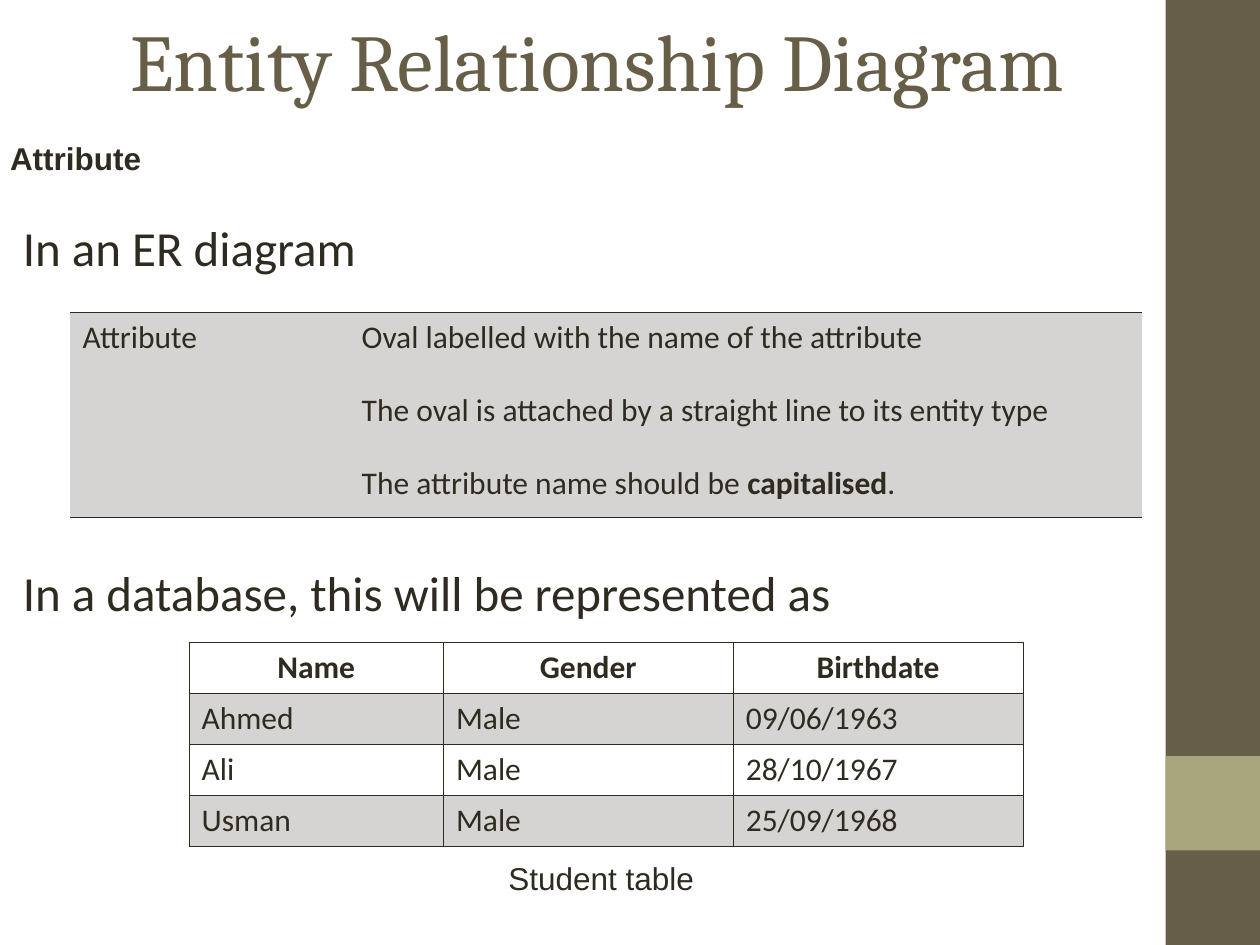
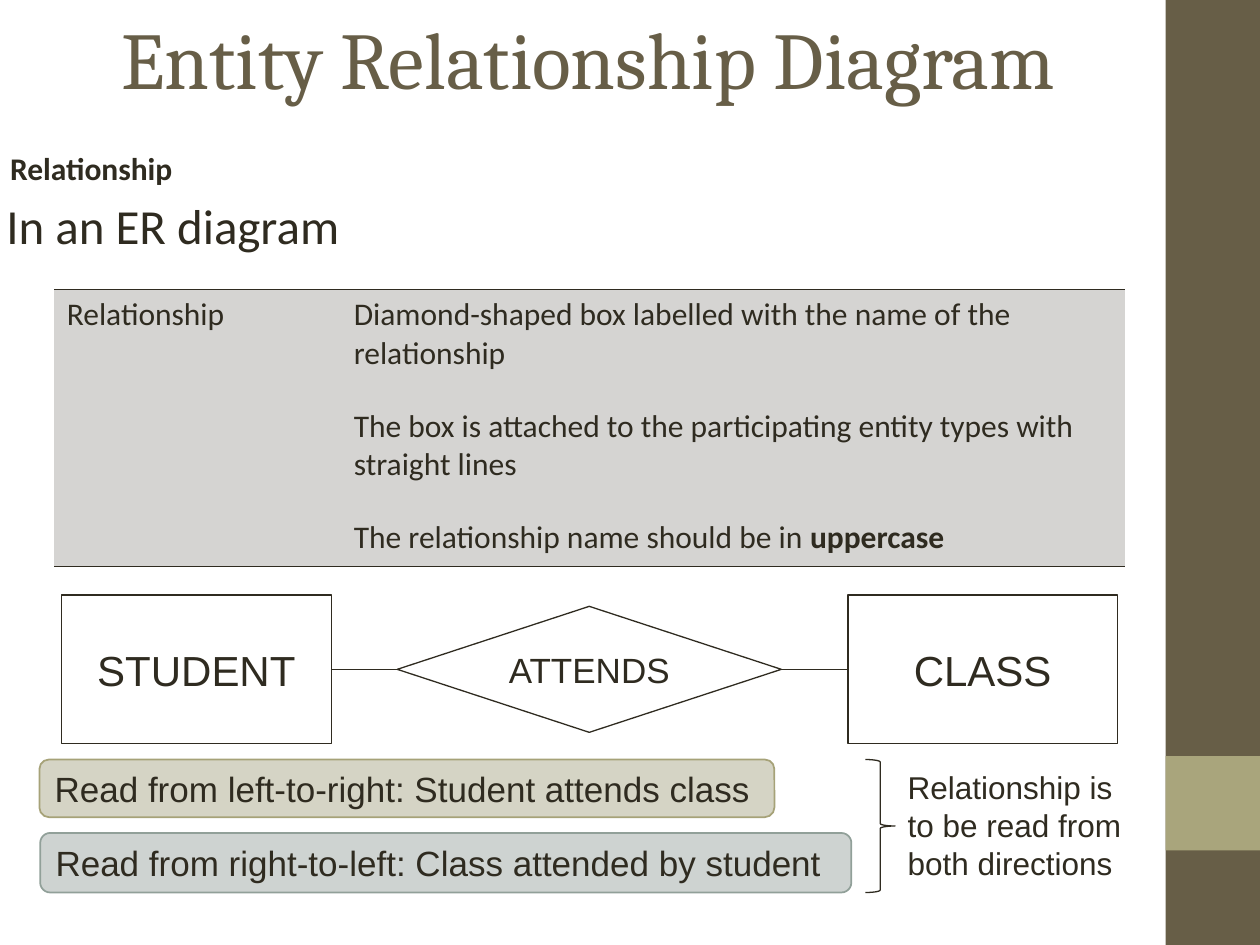
from lxml import etree
from pptx import Presentation
from pptx.dml.color import RGBColor
from pptx.enum import shapes, text
from pptx.oxml.ns import qn
from pptx.util import Pt

COLORS = {
    "white": "FFFFFF", "ink": "2F2B20", "title": "675E47", "accent": "A9A57C",
    "cell": "D5D4D2", "sand": "D5D4C5", "sand_line": "A6A278",
    "mist": "CED3D1", "mist_line": "91A099",
}
BODY, LABEL, TITLE = "Calibri", "Arial", "Cambria"
SHAPE = shapes.MSO_SHAPE
LEFT, CENTER = text.PP_ALIGN.LEFT, text.PP_ALIGN.CENTER
TOP, MIDDLE = text.MSO_ANCHOR.TOP, text.MSO_ANCHOR.MIDDLE


def rgb(name):
    return RGBColor.from_string(COLORS[name])


def box(left, top, width, height):
    return [Pt(v) for v in (left, top, width, height)]


def style(p, size, font, bold=False, align=LEFT, color="ink"):
    p.alignment = align
    p.font.size, p.font.name, p.font.bold = Pt(size), font, bold
    p.font.color.rgb = rgb(color)


def write(sp, words, size, font, anchor=TOP, **look):
    tf = sp.text_frame
    tf.word_wrap = True
    tf.vertical_anchor = anchor
    p = tf.paragraphs[0]
    p.text = words
    style(p, size, font, **look)
    return p


def add_text(s, at, words, size, font, **look):
    return write(s.shapes.add_textbox(*box(*at)), words, size, font, **look)


def add_heading(s, top, words, font):
    sp = s.shapes.add_textbox(*box(0, top, 114, 25))
    tf = sp.text_frame
    tf.margin_left = tf.margin_right = Pt(5.76)
    tf.margin_top = tf.margin_bottom = 0
    write(sp, words, 18, font, bold=True).line_spacing = Pt(18)


def add_shape(s, kind, at, fill=None, line=None, width=0.75):
    sp = s.shapes.add_shape(kind, *box(*at))
    sp.shadow.inherit = False
    if fill:
        sp.fill.solid()
        sp.fill.fore_color.rgb = rgb(fill)
    else:
        sp.fill.background()
    if line:
        sp.line.color.rgb = rgb(line)
        sp.line.width = Pt(width)
    else:
        sp.line.fill.background()
    return sp


def add_node(s, kind, at, name, size):
    sp = add_shape(s, kind, at, "white", "ink")
    write(sp, name, size, LABEL, anchor=MIDDLE, align=CENTER)
    return sp


def add_reading(s, at, words, color):
    sp = add_shape(s, SHAPE.ROUNDED_RECTANGLE, at, color, color + "_line", 1)
    write(sp, words, 20, LABEL, anchor=MIDDLE)


def join(s, start, end):
    """Connect the right side of start to the left side of end."""
    line = s.shapes.add_connector(shapes.MSO_CONNECTOR.STRAIGHT, 0, 0, 0, 0)
    line.begin_connect(start, 3)
    line.end_connect(end, 1)
    line.line.color.rgb = rgb("ink")
    line.line.width = Pt(0.75)
    etree.SubElement(line._element.spPr, qn("a:effectLst"))


def format_cell(cell, fill, sides, bottom=0.45):
    """Fill a cell and draw borders on the given sides (L, R, T, B)."""
    tcPr = cell._tc.get_or_add_tcPr()
    for side in "LRTB":
        width = bottom if side == "B" else 0.45
        ln = etree.SubElement(tcPr, qn(f"a:ln{side}"), w=str(Pt(width)))
        if side in sides:
            paint = etree.SubElement(ln, qn("a:solidFill"))
            etree.SubElement(paint, qn("a:srgbClr"), val=COLORS["ink"])
        else:
            etree.SubElement(ln, qn("a:noFill"))
    cell.fill.solid()
    cell.fill.fore_color.rgb = rgb(fill)


def add_table(s, left, top, widths, row_count, row_height):
    at = box(left, top, sum(widths), row_count * row_height)
    table = s.shapes.add_table(row_count, len(widths), *at).table
    table.first_row = table.horz_banding = False
    for column, width in zip(table.columns, widths):
        column.width = Pt(width)
    return table


def add_definition(s, left, top, widths, height, term, rules, strong, ending=""):
    """One-row table; the last rule closes with a bold word."""
    table = add_table(s, left, top, widths, 1, height)
    term_cell, rule_cell = table.cell(0, 0), table.cell(0, 1)
    term_cell.text = term
    rule_cell.text = "\n".join(rules)
    for cell in (term_cell, rule_cell):
        format_cell(cell, "cell", "TB")
        for i, p in enumerate(cell.text_frame.paragraphs):
            style(p, 18, BODY)
            if i:
                p.space_before = Pt(19.75)
    for words, bold in ((strong, True), (ending, False)):
        if words:
            r = p.add_run()
            r.text = words
            r.font.bold = bold


def add_records(s, left, top, widths, records):
    table = add_table(s, left, top, widths, len(records), 29.15)
    for i, record in enumerate(records):
        header = i == 0
        for j, value in enumerate(record):
            cell = table.cell(i, j)
            cell.text = value
            format_cell(cell, "cell" if i % 2 else "white", "LRTB",
                        0.96 if header else 0.45)
            style(cell.text_frame.paragraphs[0], 18, BODY, bold=header,
                  align=CENTER if header else LEFT)


def add_slide(prs, title_at):
    s = prs.slides.add_slide(prs.slide_layouts[5])
    add_shape(s, SHAPE.RECTANGLE, (666, 0, 54, 540), "title")
    add_shape(s, SHAPE.RECTANGLE, (666, 432, 54, 54), "accent")
    title = s.shapes.title
    title.left, title.top, title.width, title.height = box(*title_at)
    write(title, "Entity Relationship Diagram", 46, TITLE, anchor=MIDDLE,
          align=CENTER, color="title")
    return s


def attribute_slide(prs):
    s = add_slide(prs, (41, 1.5, 600, 65))
    add_heading(s, 82.8, "Attribute", LABEL)
    add_text(s, (6, 121, 640, 42), "In an ER diagram", 28, BODY)
    add_definition(s, 40, 178.5, (159.5, 453), 117.4, "Attribute", [
        "Oval labelled with the name of the attribute",
        "The oval is attached by a straight line to its entity type",
        "The attribute name should be ",
    ], "capitalised", ".")
    add_text(s, (6, 318, 640, 42), "In a database, this will be represented as",
             28, BODY)
    add_records(s, 108, 367, (145.4, 165.6, 165.6), [
        ("Name", "Gender", "Birthdate"),
        ("Ahmed", "Male", "09/06/1963"),
        ("Ali", "Male", "28/10/1967"),
        ("Usman", "Male", "25/09/1968"),
    ])
    add_text(s, (253, 487.5, 181, 29), "Student table", 18, LABEL, align=CENTER)


def relationship_slide(prs):
    s = add_slide(prs, (36, 0, 600, 65.5))
    add_heading(s, 88.6, "Relationship", BODY)
    add_text(s, (-3.5, 108, 640, 42), "In an ER diagram", 28, BODY)
    add_definition(s, 31, 165.5, (164, 448), 158.4, "Relationship", [
        "Diamond-shaped box labelled with the name of the relationship",
        "The box is attached to the participating entity types with straight lines",
        "The relationship name should be in ",
    ], "uppercase")

    student = add_node(s, SHAPE.RECTANGLE, (35, 340, 154.5, 85), "STUDENT", 24)
    attends = add_node(s, SHAPE.DIAMOND, (227, 346.5, 219.5, 72), "ATTENDS", 20)
    class_ = add_node(s, SHAPE.RECTANGLE, (484.5, 340, 154, 85), "CLASS", 24)
    join(s, student, attends)
    join(s, attends, class_)

    add_reading(s, (22.5, 434, 420, 33),
                "Read from left-to-right: Student attends class", "sand")
    add_reading(s, (23, 476, 463.5, 34),
                "Read from right-to-left: Class attended by student", "mist")
    add_shape(s, SHAPE.RIGHT_BRACE, (494.5, 434, 17, 76), line="ink")
    add_text(s, (511.5, 435.5, 142.5, 72),
             "Relationship is to be read from both directions", 18, LABEL)


def main():
    prs = Presentation()
    prs.slide_width, prs.slide_height = Pt(720), Pt(540)
    attribute_slide(prs)
    relationship_slide(prs)
    prs.save("out.pptx")


if __name__ == "__main__":
    main()
